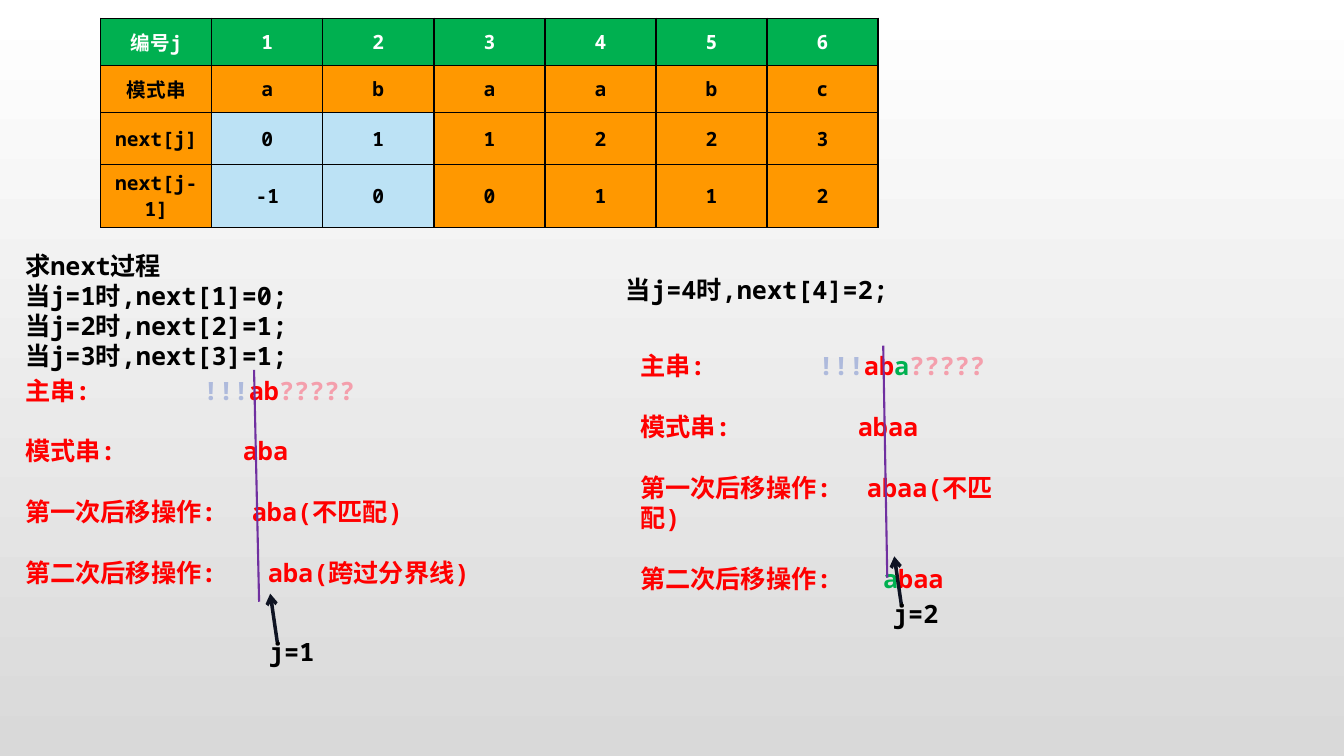
from lxml.etree import SubElement
from pptx import Presentation
from pptx.dml.color import RGBColor
from pptx.enum.shapes import MSO_CONNECTOR
from pptx.enum.text import MSO_ANCHOR, PP_ALIGN
from pptx.oxml.ns import qn
from pptx.util import Inches, Pt

COLORS = {
    "white": "FFFFFF", "gray": "D9D9D9", "black": "000000", "green": "00B050",
    "orange": "FF9800", "sky": "BCE2F5", "red": "FF0000", "lilac": "AEBADC",
    "pink": "F49FAC", "purple": "7030A0", "navy": "0F1423",
}
FONT = "Noto Sans Mono"
NEXT_ROWS = [
    ["编号j", "1", "2", "3", "4", "5", "6"],
    ["模式串", "a", "b", "a", "a", "b", "c"],
    ["next[j]", "0", "1", "1", "2", "2", "3"],
    ["next[j-1]", "-1", "0", "0", "1", "1", "2"],
]
ROW_HEIGHTS = [0.47, 0.47, 0.51, 0.56]
TAB_STOPS = [1.77, 2.16, 2.25, 2.41]
LEFT_STEPS = [
    [("主串:\t", "red"), ("!!!", "lilac"), ("ab", "red"), ("?????", "pink")],
    [("模式串:\taba", "red")],
    [("第一次后移操作:\taba(不匹配)", "red")],
    [("第二次后移操作:\taba(跨过分界线)", "red")],
]
RIGHT_STEPS = [
    [("主串:\t", "red"), ("!!!", "lilac"), ("ab", "red"), ("a", "green"), ("?????", "pink")],
    [("模式串:\tabaa", "red")],
    [("第一次后移操作:\tabaa(不匹配)", "red")],
    [("第二次后移操作:\t", "red"), ("a", "green"), ("baa", "red")],
]


def rgb(name):
    """Return the named colour."""
    return RGBColor.from_string(COLORS[name])


def style_font(para, size, color):
    """Set the shared bold face of a paragraph."""
    para.font.name = FONT
    para.font.size = Pt(size)
    para.font.bold = True
    para.font.color.rgb = rgb(color)


def paint_background(page):
    """Fill the page with a vertical gradient."""
    fill = page.background.fill
    fill.gradient()
    fill.gradient_angle = 270
    for stop, color, position in zip(fill.gradient_stops, ("white", "gray"), (0, 1)):
        stop.color.rgb = rgb(color)
        stop.position = position


def border_cell(cell):
    """Draw a thin black border on all sides of a cell."""
    properties = cell._tc.get_or_add_tcPr()
    for index, side in enumerate(("a:lnL", "a:lnR", "a:lnT", "a:lnB")):
        line = properties.makeelement(qn(side), {"w": str(Pt(1))})
        fill = SubElement(line, qn("a:solidFill"))
        SubElement(fill, qn("a:srgbClr"), val=COLORS["black"])
        properties.insert(index, line)


def add_next_table(page):
    """Add the table of next values."""
    columns = len(NEXT_ROWS[0])
    table = page.shapes.add_table(
        len(NEXT_ROWS), columns, Inches(1), Inches(0.18), Inches(7.71), Inches(2.01)
    ).table
    table.first_row = table.horz_banding = False
    for column in table.columns:
        column.width = Inches(7.71 / columns)
    for row, height in enumerate(ROW_HEIGHTS):
        table.rows[row].height = Inches(height)
        for column, text in enumerate(NEXT_ROWS[row]):
            cell = table.cell(row, column)
            given = row >= 2 and column in (1, 2)
            fill = "green" if row == 0 else "sky" if given else "orange"
            cell.fill.solid()
            cell.fill.fore_color.rgb = rgb(fill)
            cell.vertical_anchor = MSO_ANCHOR.MIDDLE
            cell.text = text
            para = cell.text_frame.paragraphs[0]
            para.alignment = PP_ALIGN.CENTER
            style_font(para, 14, "white" if row == 0 else "black")
            border_cell(cell)


def add_text(page, left, top, width, height, lines, color="black", gap=0):
    """Add a text box whose lines are lists of coloured spans."""
    box = page.shapes.add_textbox(Inches(left), Inches(top), Inches(width), Inches(height))
    frame = box.text_frame
    frame.word_wrap = True
    for index, spans in enumerate(lines):
        para = frame.add_paragraph() if index else frame.paragraphs[0]
        style_font(para, 18, color)
        if index:
            para.space_before = Pt(gap)
        for text, span_color in spans:
            span = para.add_run()
            span.text = text
            if span_color != color:
                span.font.color.rgb = rgb(span_color)
    return box


def add_steps(page, left, top, width, steps):
    """Add the matching steps, each aligned at its own tab stop."""
    box = add_text(page, left, top, width, 2.22, steps, "red", 21.8)
    for para, stop in zip(box.text_frame.paragraphs, TAB_STOPS):
        properties = para._p.get_or_add_pPr()
        tabs = properties.makeelement(qn("a:tabLst"), {})
        SubElement(tabs, qn("a:tab"), pos=str(Inches(stop)), algn="l")
        properties.find(qn("a:defRPr")).addprevious(tabs)


def add_line(page, start, end, color, width, arrow=False):
    """Add a straight line, with an arrowhead at its end if asked."""
    line = page.shapes.add_connector(
        MSO_CONNECTOR.STRAIGHT, *(Inches(value) for value in (*start, *end))
    )
    line.line.color.rgb = rgb(color)
    line.line.width = Pt(width)
    if arrow:
        SubElement(line.line._get_or_add_ln(), qn("a:tailEnd"), type="arrow")
    SubElement(line._element.spPr, qn("a:effectLst"))


def main():
    """Build and save the slide."""
    deck = Presentation()
    deck.slide_width, deck.slide_height = Inches(13.33), Inches(7.5)
    page = deck.slides.add_slide(deck.slide_layouts[6])
    paint_background(page)
    add_next_table(page)

    add_steps(page, 0.15, 3.67, 5.07, LEFT_STEPS)
    add_line(page, (2.57, 5.97), (2.52, 3.67), "purple", 1.5)
    add_line(page, (2.75, 6.37), (2.68, 5.89), "navy", 2.5, arrow=True)
    add_text(page, 2.57, 6.26, 0.86, 0.4, [[("j=1", "black")]])
    process = ["求next过程"] + [f"当j={j}时,next[{j}]={NEXT_ROWS[2][j]};" for j in (1, 2, 3)]
    add_text(page, 0.15, 2.43, 4.45, 3.13, [[(text, "black")] for text in process])

    add_text(page, 6.11, 2.67, 4.55, 0.4, [[("当j=4时,next[4]=2;", "black")]])
    add_steps(page, 6.25, 3.43, 3.95, RIGHT_STEPS)
    add_line(page, (8.8, 5.73), (8.76, 3.43), "purple", 1.5)
    add_line(page, (8.94, 6), (8.87, 5.52), "navy", 2.5, arrow=True)
    add_text(page, 8.76, 5.89, 0.86, 0.4, [[("j=2", "black")]])
    deck.save("out.pptx")


if __name__ == "__main__":
    main()
